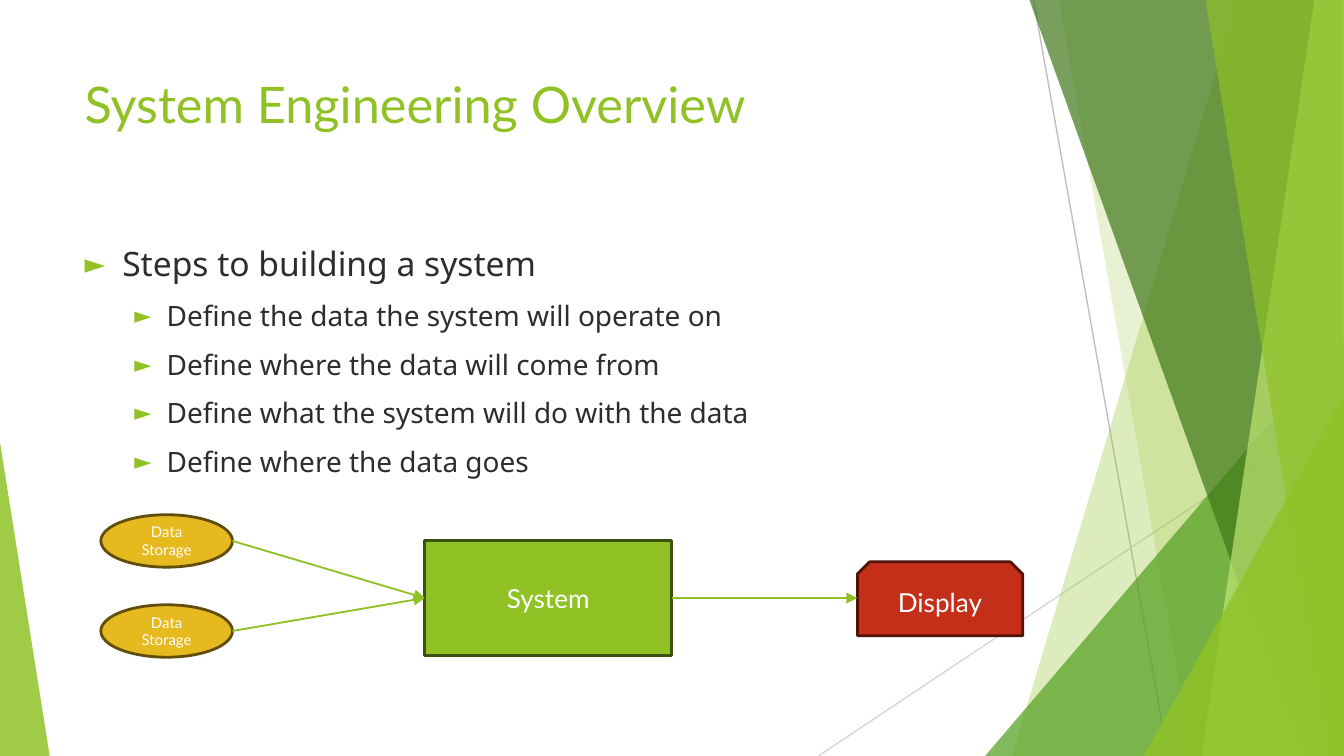
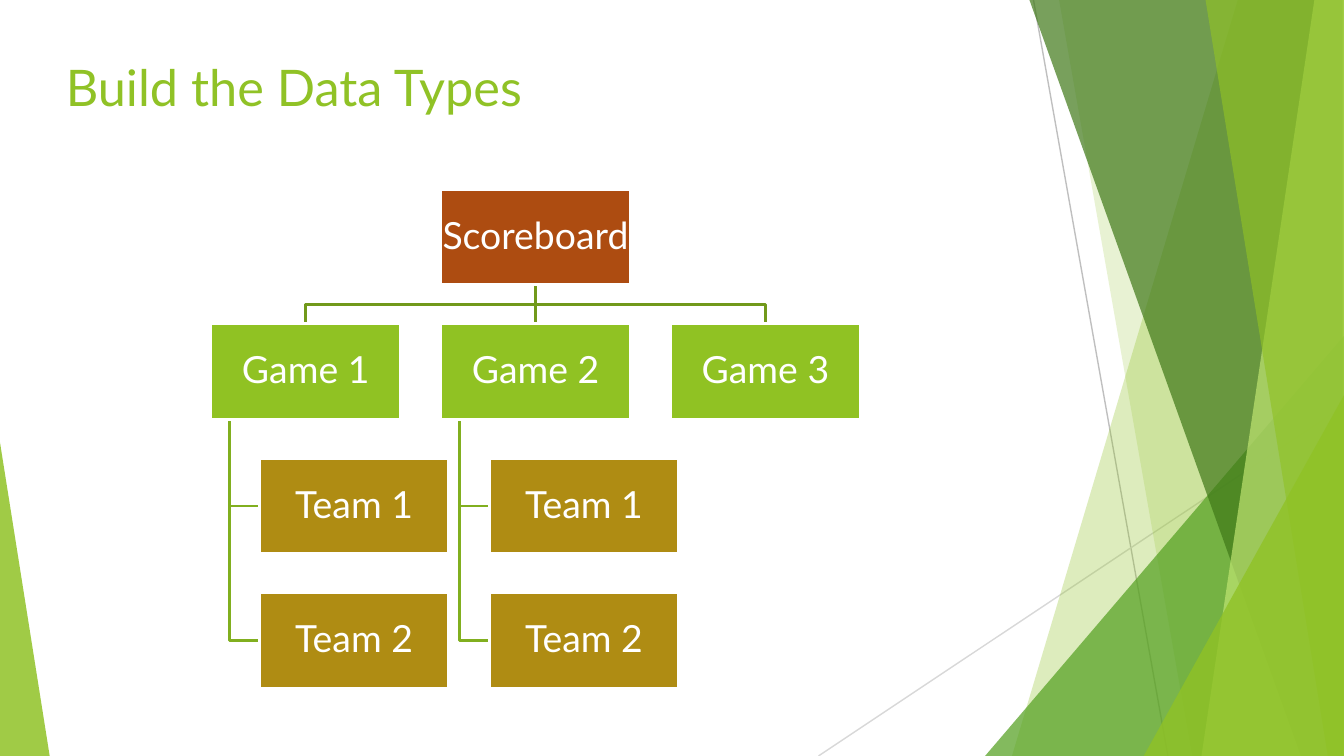
from lxml.etree import SubElement
from pptx import Presentation
from pptx.dml.color import RGBColor
from pptx.enum.shapes import MSO_CONNECTOR, MSO_SHAPE
from pptx.enum.text import MSO_ANCHOR, PP_ALIGN
from pptx.oxml.ns import qn
from pptx.util import Inches, Pt

WIDTH = 10
HEIGHT = WIDTH * 9 / 16
HEADING_FONT, BODY_FONT = "Lato", "Noto Sans"

WHITE = RGBColor(0xFF, 0xFF, 0xFF)
INK = RGBColor(0x2D, 0x2D, 0x2D)
GREEN = RGBColor(0x90, 0xC2, 0x26)
GREEN_EDGE = RGBColor(0x3C, 0x51, 0x10)
MID_GREEN = RGBColor(0x54, 0xA0, 0x21)
DARK_GREEN = RGBColor(0x3F, 0x78, 0x18)
PALE_GREEN = RGBColor(0xBF, 0xE4, 0x71)
GOLD = RGBColor(0xE6, 0xB9, 0x1E)
GOLD_EDGE = RGBColor(0x61, 0x4E, 0x0C)
RED = RGBColor(0xC4, 0x2F, 0x1A)
RED_EDGE = RGBColor(0x52, 0x13, 0x0A)
GREY = RGBColor(0xBF, 0xBF, 0xBF)
LIGHT_GREY = RGBColor(0xD8, 0xD8, 0xD8)
ROOT_FILL = RGBColor(0xAD, 0x4C, 0x11)
GAME_FILL = RGBColor(0x90, 0xC2, 0x23)
TEAM_FILL = RGBColor(0xAF, 0x8C, 0x13)
GAME_LINK = RGBColor(0x71, 0x99, 0x1B)
TEAM_LINK = RGBColor(0x81, 0xAF, 0x1F)

# Backdrop, back to front
BACKDROP_LINES = [
    ((7.69, 0), (8.69, HEIGHT), GREY),
    ((WIDTH, 3.02), (6.09, HEIGHT), LIGHT_GREY),
]
# A band has its top left, top right, bottom right and bottom left x;
# a triangle has its left, top, width and apex position.
BACKDROP = [
    ("band", (9.21, 10, 10, 7.53), GREEN, 30),
    ("band", (7.88, 10, 10, 8.87), GREEN, 20),
    ("triangle", (7.33, 2.5, 2.67, 1), MID_GREEN, 72),
    ("band", (7.66, 9.99, 9.99, 9.68), DARK_GREEN, 70),
    ("band", (9.78, 10, 10, 8.94), PALE_GREEN, 70),
    ("band", (8.97, 10, 10, 9.88), GREEN, 65),
    ("triangle", (8.51, 2.94, 1.49, 1), GREEN, 80),
    ("triangle", (0, 3.29, 0.37, 0), GREEN, 85),
]

# Slide 1
OVERVIEW_TITLE = "System Engineering Overview"
STEPS = [
    (0, "Steps to building a system"),
    (1, "Define the data the system will operate on"),
    (1, "Define where the data will come from"),
    (1, "Define what the system will do with the data"),
    (1, "Define where the data goes"),
]
# Level: text size, left margin, hanging indent, space before
STEP_STYLES = [(18, 0.28, 0.28, 0), (15, 0.61, 0.24, 8)]

SYSTEM = (3.16, 4.02, 1.84, 0.86)
STORES = [(0.75, top, 0.98, 0.39) for top in (3.83, 4.5)]
DISPLAY = (6.38, 4.18, 1.23, 0.55)

# Slide 2
TREE_TITLE = "Build the Data Types"
ROOT = "Scoreboard"
GAMES = [
    ("Game 1", ["Team 1", "Team 2"]),
    ("Game 2", ["Team 1", "Team 2"]),
    ("Game 3", []),
]
NODE_WIDTH, NODE_HEIGHT = 1.41, 0.71
TREE_LEFT, TREE_TOP = 1.57, 1.41
COLUMN_STEP, ROW_STEP = 1.71, 1.0
TEAM_INDENT, TRUNK_INDENT = 0.36, 0.14


def inches(*lengths):
    return [Inches(length) for length in lengths]


def paint(shape, fill=None, edge=None, opacity=100, edge_width=1.5):
    shape.shadow.inherit = False
    if fill is None:
        shape.fill.background()
    else:
        shape.fill.solid()
        shape.fill.fore_color.rgb = fill
        if opacity < 100:
            color = shape.fill._xPr.find(".//" + qn("a:srgbClr"))
            SubElement(color, qn("a:alpha")).set("val", str(opacity * 1000))
    if edge is None:
        shape.line.fill.background()
    else:
        shape.line.color.rgb = edge
        shape.line.width = Pt(edge_width)


def style(paragraph, size, color, font=HEADING_FONT):
    paragraph.font.size = Pt(size)
    paragraph.font.name = font
    paragraph.font.color.rgb = color


def set_margins(text_frame, across=0.07, down=0.04):
    text_frame.margin_left = text_frame.margin_right = Inches(across)
    text_frame.margin_top = text_frame.margin_bottom = Inches(down)


def add_line(slide, start, end, color, width, arrow=False):
    connector = slide.shapes.add_connector(MSO_CONNECTOR.STRAIGHT, *inches(*start, *end))
    connector.line.color.rgb = color
    connector.line.width = Pt(width)
    if arrow:
        SubElement(connector.line._get_or_add_ln(), qn("a:tailEnd")).set("type", "triangle")
    SubElement(connector._element.spPr, qn("a:effectLst"))


def add_outline(slide, points, close):
    start, *others = [inches(*point) for point in points]
    builder = slide.shapes.build_freeform(*start)
    builder.add_line_segments(others, close=close)
    return builder.convert_to_shape()


def add_box(slide, kind, place, text, size, fill, edge):
    shape = slide.shapes.add_shape(kind, *inches(*place))
    paint(shape, fill, edge)
    text_frame = shape.text_frame
    text_frame.text = text
    text_frame.word_wrap = True
    text_frame.vertical_anchor = MSO_ANCHOR.MIDDLE
    set_margins(text_frame)
    paragraph = text_frame.paragraphs[0]
    paragraph.alignment = PP_ALIGN.CENTER
    style(paragraph, size, WHITE)
    return shape


def add_text_box(slide, place):
    text_frame = slide.shapes.add_textbox(*inches(*place)).text_frame
    text_frame.word_wrap = True
    set_margins(text_frame)
    return text_frame


def add_backdrop(slide):
    for start, end, color in BACKDROP_LINES:
        add_line(slide, start, end, color, 0.75)
    for kind, numbers, color, opacity in BACKDROP:
        if kind == "band":
            shape = add_outline(slide, zip(numbers, (0, 0, HEIGHT, HEIGHT)), True)
        else:
            left, top, width, apex = numbers
            place = inches(left, top, width, HEIGHT - top)
            shape = slide.shapes.add_shape(MSO_SHAPE.ISOSCELES_TRIANGLE, *place)
            shape.adjustments[0] = apex
        paint(shape, color, opacity=opacity)


def new_slide(presentation, title, title_place):
    slide = presentation.slides.add_slide(presentation.slide_layouts[6])
    add_backdrop(slide)
    text_frame = add_text_box(slide, title_place)
    text_frame.text = title
    style(text_frame.paragraphs[0], 27, GREEN)
    return slide


def add_bullet(paragraph, margin, hanging):
    properties = paragraph._p.get_or_add_pPr()
    properties.set("marL", str(Inches(margin)))
    properties.set("indent", str(-Inches(hanging)))
    color = SubElement(properties, qn("a:buClr"))
    SubElement(color, qn("a:srgbClr")).set("val", str(GREEN))
    SubElement(properties, qn("a:buSzPct")).set("val", "80000")
    SubElement(properties, qn("a:buFont")).set("typeface", HEADING_FONT)
    SubElement(properties, qn("a:buChar")).set("char", "►")


def build_overview(presentation):
    slide = new_slide(presentation, OVERVIEW_TITLE, (0.56, 0.5, 7.05, 1.08))

    # Steps
    text_frame = add_text_box(slide, (0.56, 1.77, 7.05, 3.18))
    text_frame.text = "\n".join(text for level, text in STEPS)
    for paragraph, (level, text) in zip(text_frame.paragraphs, STEPS):
        size, margin, hanging, space = STEP_STYLES[level]
        add_bullet(paragraph, margin, hanging)
        paragraph.level = level
        paragraph.space_before = Pt(space)
        style(paragraph, size, INK, BODY_FONT)

    # Data flow
    add_box(slide, MSO_SHAPE.RECTANGLE, SYSTEM, "System", 14, GREEN, GREEN_EDGE)
    left, top, width, height = SYSTEM
    middle = top + height / 2
    for store in STORES:
        add_box(slide, MSO_SHAPE.OVAL, store, "Data Storage", 8, GOLD, GOLD_EDGE)
        start = (store[0] + store[2], store[1] + store[3] / 2)
        add_line(slide, start, (left, middle), GREEN, 1, arrow=True)
    add_box(slide, MSO_SHAPE.SNIP_2_SAME_RECTANGLE, DISPLAY, "Display", 14, RED, RED_EDGE)
    add_line(slide, (left + width, middle), (DISPLAY[0], middle), GREEN, 1, arrow=True)


def add_node(slide, left, top, text, fill):
    place = (left, top, NODE_WIDTH, NODE_HEIGHT)
    shape = add_box(slide, MSO_SHAPE.RECTANGLE, place, text, 20, fill, WHITE)
    shape.text_frame.word_wrap = False
    set_margins(shape.text_frame, 0.01, 0.01)
    shape.text_frame.paragraphs[0].line_spacing = 0.9


def build_tree(presentation):
    slide = new_slide(presentation, TREE_TITLE, (0.42, 0.38, 5.29, 0.81))
    root_left = TREE_LEFT + COLUMN_STEP * (len(GAMES) - 1) / 2
    root_center = root_left + NODE_WIDTH / 2
    root_bottom = TREE_TOP + NODE_HEIGHT
    game_top = TREE_TOP + ROW_STEP
    game_bottom = game_top + NODE_HEIGHT
    bend = (root_bottom + game_top) / 2

    # Nodes and links are collected first so that all links lie behind
    nodes = [(root_left, TREE_TOP, ROOT, ROOT_FILL)]
    links = []
    for column, (game, teams) in enumerate(GAMES):
        left = TREE_LEFT + column * COLUMN_STEP
        center = left + NODE_WIDTH / 2
        nodes.append((left, game_top, game, GAME_FILL))
        points = [(root_center, root_bottom), (root_center, bend),
                  (center, bend), (center, game_top)]
        links.append((points, GAME_LINK))
        trunk, team_left = left + TRUNK_INDENT, left + TEAM_INDENT
        for row, team in enumerate(teams, start=1):
            top = game_top + row * ROW_STEP
            middle = top + NODE_HEIGHT / 2
            nodes.append((team_left, top, team, TEAM_FILL))
            links.append(([(trunk, game_bottom), (trunk, middle), (team_left, middle)], TEAM_LINK))

    for points, color in links:
        start, end = points[0], points[-1]
        if abs(start[0] - end[0]) < 0.01:
            add_line(slide, start, end, color, 1.5)
        else:
            paint(add_outline(slide, points, False), edge=color)
    for node in nodes:
        add_node(slide, *node)


def main():
    presentation = Presentation()
    presentation.slide_width, presentation.slide_height = inches(WIDTH, HEIGHT)
    build_overview(presentation)
    build_tree(presentation)
    presentation.save("out.pptx")


if __name__ == "__main__":
    main()
